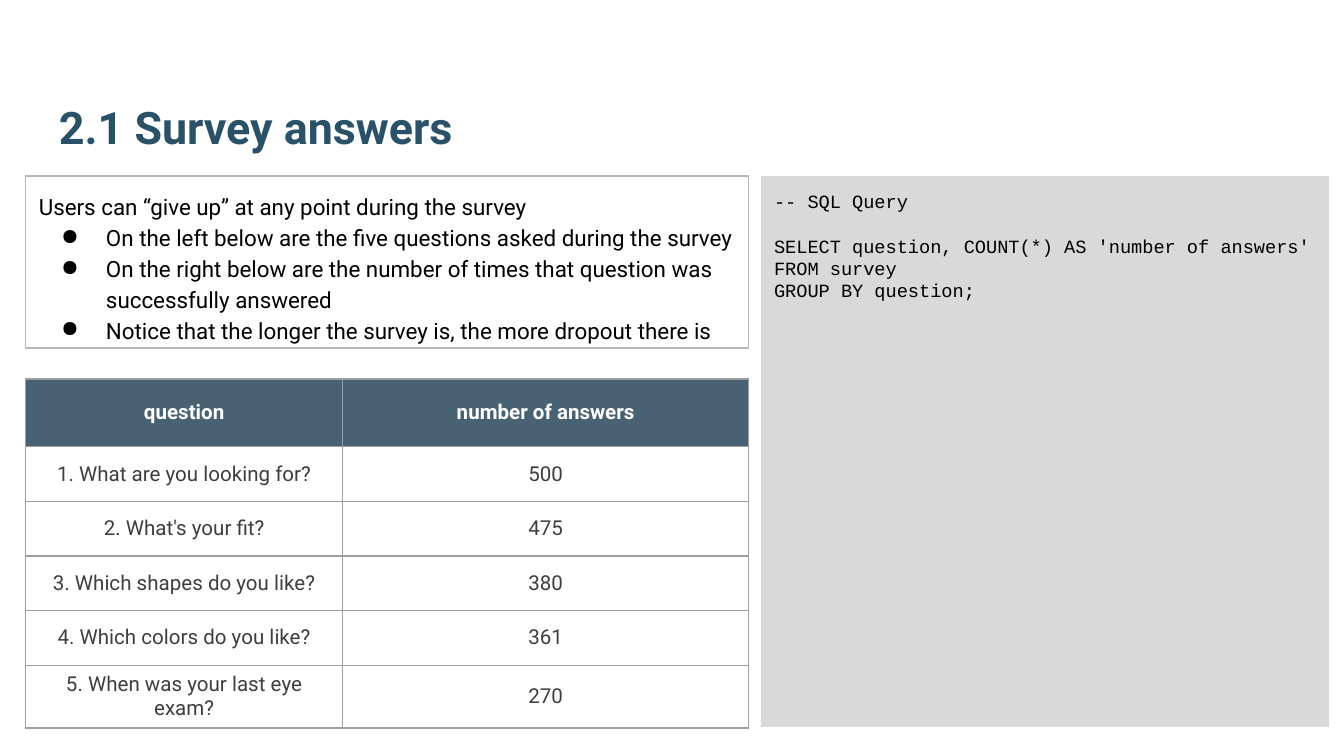
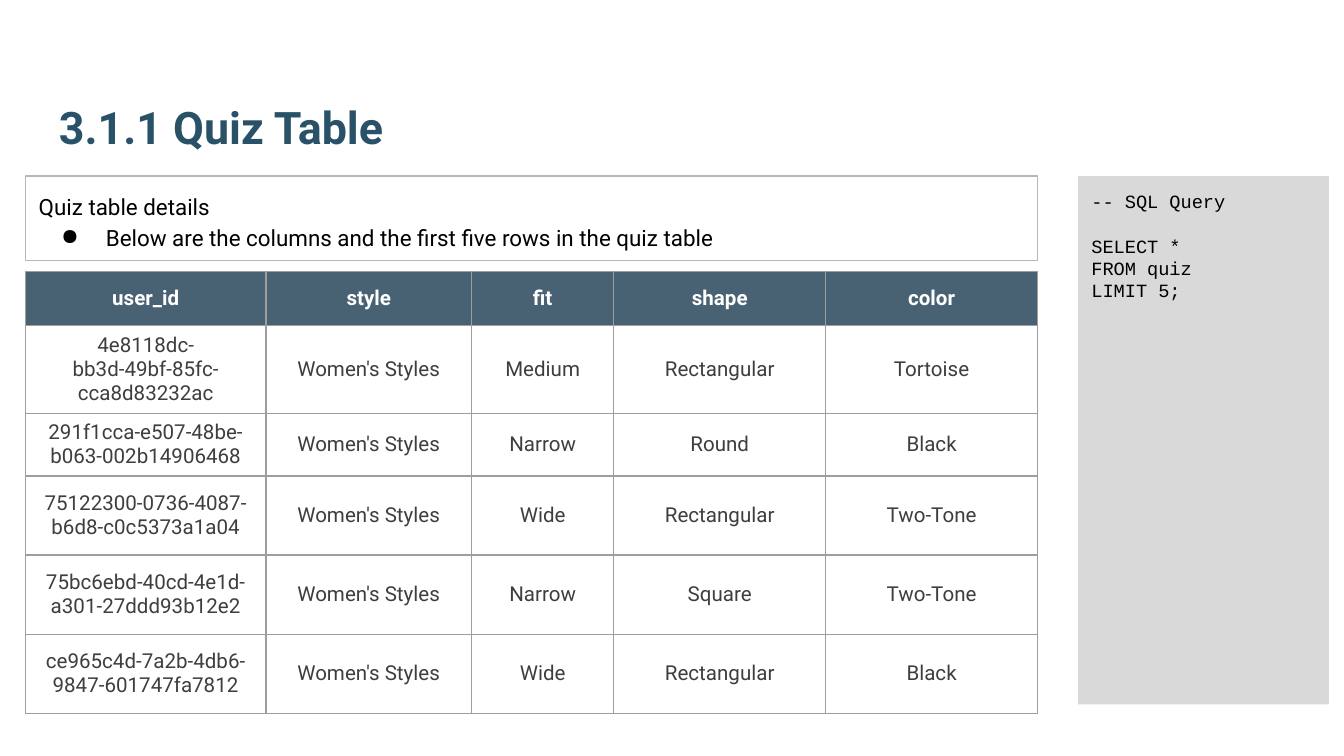
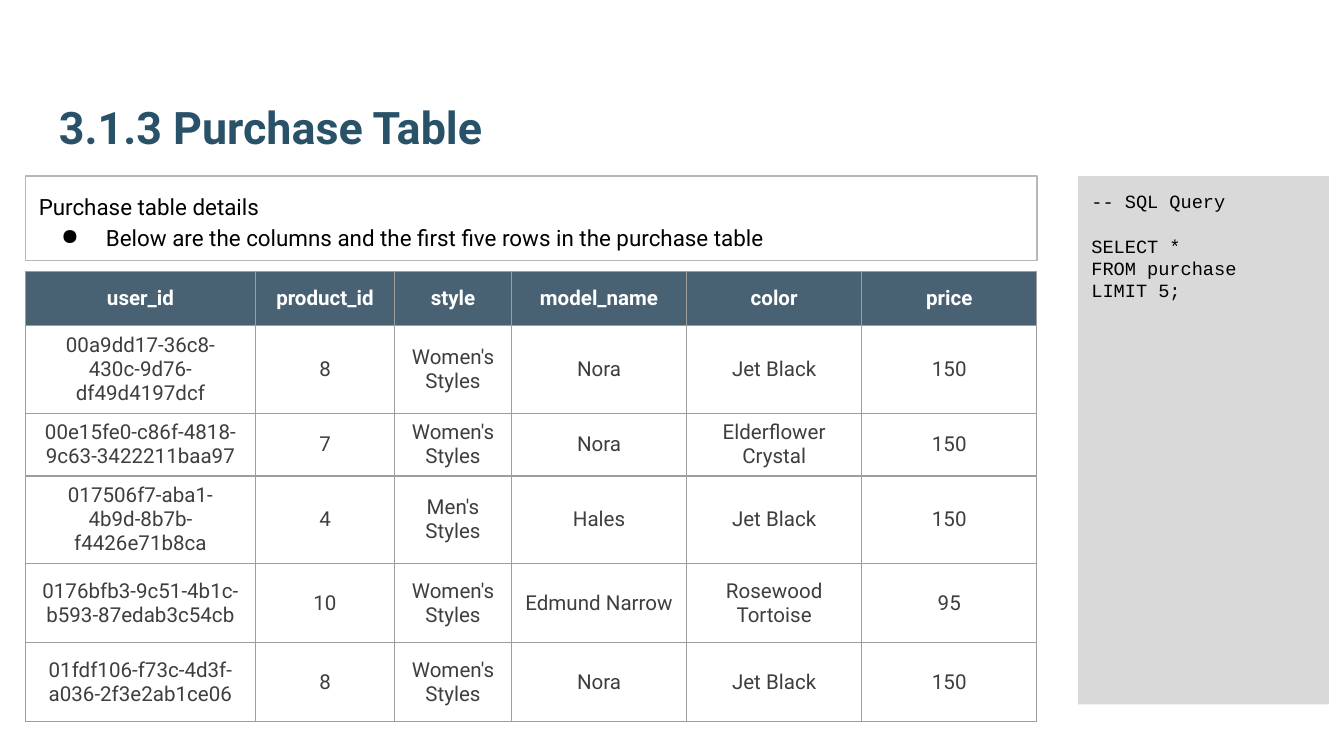
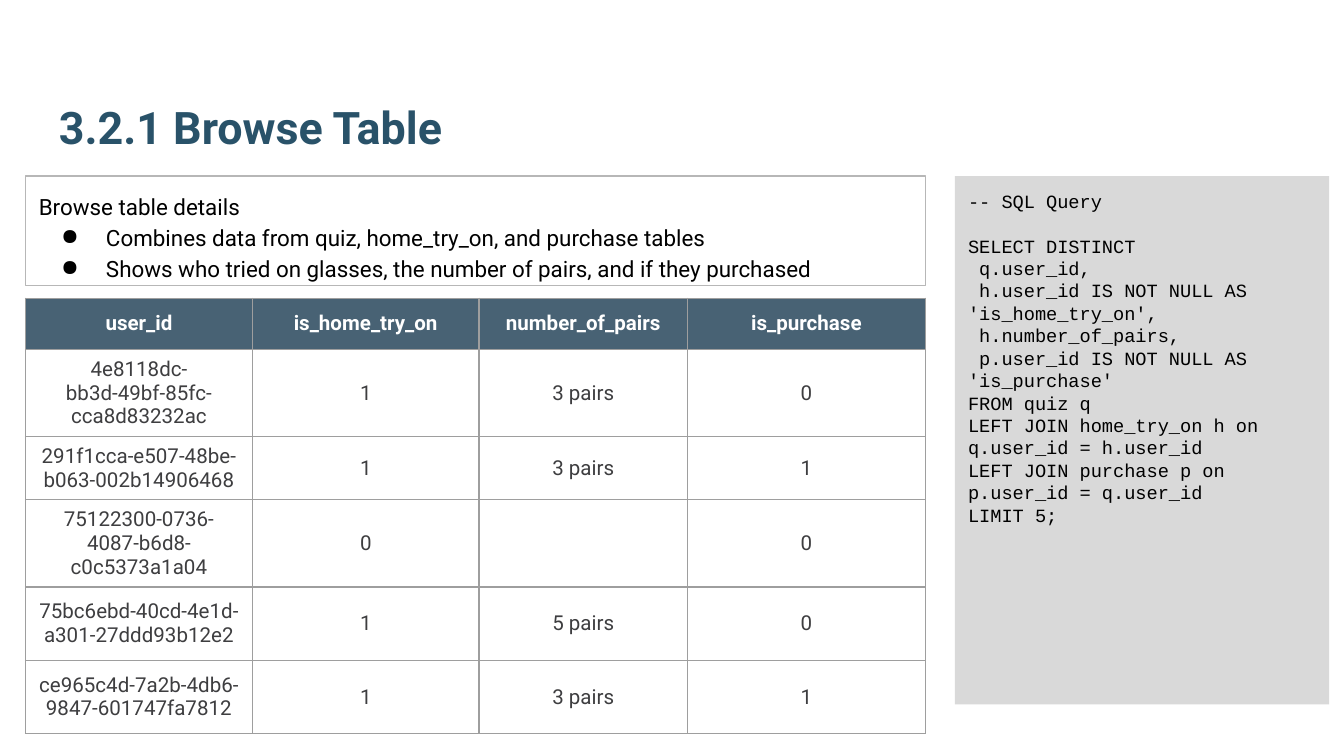
from dataclasses import dataclass
from typing import Optional

from lxml.etree import SubElement
from pptx import Presentation
from pptx.dml.color import RGBColor
from pptx.enum.shapes import MSO_SHAPE
from pptx.enum.text import MSO_ANCHOR, PP_ALIGN
from pptx.oxml.ns import qn
from pptx.shapes.autoshape import Shape
from pptx.slide import Slide
from pptx.table import _Cell
from pptx.text.text import TextFrame
from pptx.util import Pt

TITLE_BLUE = RGBColor(0x29, 0x52, 0x69)
HEADER_BLUE = RGBColor(0x20, 0x40, 0x56)
CODE_GRAY = RGBColor(0xD9, 0xD9, 0xD9)
BOX_GRAY = RGBColor(0xB7, 0xB7, 0xB7)
GRID_GRAY = RGBColor(0x9E, 0x9E, 0x9E)
CELL_TEXT = RGBColor(0x3E, 0x3E, 0x40)
BLACK = RGBColor(0, 0, 0)
WHITE = RGBColor(0xFF, 0xFF, 0xFF)

HEADER_OPACITY = 82
SANS = "Roboto"
MONO = "Courier New"
LINE_WIDTH = 0.75
BOX_INSET = 7.2
HEADER_INSET = 5.76
CODE_LINE = 12

# Lengths below are in points.
SLIDE_WIDTH, SLIDE_HEIGHT = 720, 405
PANEL_LEFT, PANEL_TOP, PANEL_RIGHT = 13.7, 94.4, 712
TITLE_BOX = (24.5, 23, 671, 66.3)


@dataclass
class QuerySlide:
    title: str
    heading: str
    bullets: list[str]
    summary_height: float
    query: list[str]
    code_left: float
    code_height: float
    table_top: float
    column_widths: list[float]
    row_heights: list[float]
    rows: list[list[str]]


QUERY_SLIDES = [
    QuerySlide(
        title="2.1 Survey answers",
        heading="Users can “give up” at any point during the survey",
        bullets=[
            "On the left below are the five questions asked during the survey",
            "On the right below are the number of times that question was "
            "successfully answered",
            "Notice that the longer the survey is, the more dropout there is",
        ],
        summary_height=92,
        query=[
            "SELECT question, COUNT(*) AS 'number of answers'",
            "FROM survey",
            "GROUP BY question;",
        ],
        code_left=407.6,
        code_height=295,
        table_top=203,
        column_widths=[170, 217.4],
        row_heights=[36.3] + [29.3] * 4 + [33],
        rows=[
            ["question", "number of answers"],
            ["1. What are you looking for?", "500"],
            ["2. What's your fit?", "475"],
            ["3. Which shapes do you like?", "380"],
            ["4. Which colors do you like?", "361"],
            ["5. When was your last eye exam?", "270"],
        ],
    ),
    QuerySlide(
        title="3.1.1 Quiz Table",
        heading="Quiz table details",
        bullets=["Below are the columns and the first five rows in the quiz table"],
        summary_height=45.3,
        query=["SELECT *", "FROM quiz", "LIMIT 5;"],
        code_left=577.6,
        code_height=283,
        table_top=145.3,
        column_widths=[128.8, 110.2, 76.2, 113.5, 113.5],
        row_heights=[29.2, 42.4, 30.2] + [42.4] * 3,
        rows=[
            ["user_id", "style", "fit", "shape", "color"],
            ["4e8118dc-bb3d-49bf-85fc-cca8d83232ac", "Women's Styles", "Medium",
             "Rectangular", "Tortoise"],
            ["291f1cca-e507-48be-b063-002b14906468", "Women's Styles", "Narrow",
             "Round", "Black"],
            ["75122300-0736-4087-b6d8-c0c5373a1a04", "Women's Styles", "Wide",
             "Rectangular", "Two-Tone"],
            ["75bc6ebd-40cd-4e1d-a301-27ddd93b12e2", "Women's Styles", "Narrow",
             "Square", "Two-Tone"],
            ["ce965c4d-7a2b-4db6-9847-601747fa7812", "Women's Styles", "Wide",
             "Rectangular", "Black"],
        ],
    ),
    QuerySlide(
        title="3.1.3 Purchase Table",
        heading="Purchase table details",
        bullets=["Below are the columns and the first five rows in the purchase table"],
        summary_height=45.3,
        query=["SELECT *", "FROM purchase", "LIMIT 5;"],
        code_left=577.6,
        code_height=283,
        table_top=145.3,
        column_widths=[123.2, 74.5, 62.7] + [93.8] * 3,
        row_heights=[29.2, 42.4, 30.2] + [42.4] * 3,
        rows=[
            ["user_id", "product_id", "style", "model_name", "color", "price"],
            ["00a9dd17-36c8-430c-9d76-df49d4197dcf", "8", "Women's Styles",
             "Nora", "Jet Black", "150"],
            ["00e15fe0-c86f-4818-9c63-3422211baa97", "7", "Women's Styles",
             "Nora", "Elderflower Crystal", "150"],
            ["017506f7-aba1-4b9d-8b7b-f4426e71b8ca", "4", "Men's Styles",
             "Hales", "Jet Black", "150"],
            ["0176bfb3-9c51-4b1c-b593-87edab3c54cb", "10", "Women's Styles",
             "Edmund Narrow", "Rosewood Tortoise", "95"],
            ["01fdf106-f73c-4d3f-a036-2f3e2ab1ce06", "8", "Women's Styles",
             "Nora", "Jet Black", "150"],
        ],
    ),
    QuerySlide(
        title="3.2.1 Browse Table",
        heading="Browse table details",
        bullets=[
            "Combines data from quiz, home_try_on, and purchase tables",
            "Shows who tried on glasses, the number of pairs, and if they purchased",
        ],
        summary_height=58.5,
        query=[
            "SELECT DISTINCT",
            " q.user_id,",
            " h.user_id IS NOT NULL AS 'is_home_try_on',",
            " h.number_of_pairs,",
            " p.user_id IS NOT NULL AS 'is_purchase'",
            "FROM quiz q",
            "LEFT JOIN home_try_on h on q.user_id = h.user_id",
            "LEFT JOIN purchase p on p.user_id = q.user_id",
            "LIMIT 5;",
        ],
        code_left=511.5,
        code_height=283,
        table_top=159.8,
        column_widths=[121.6, 121.4, 111.7, 127.5],
        row_heights=[27.3, 39.3, 31] + [39.3] * 3,
        rows=[
            ["user_id", "is_home_try_on", "number_of_pairs", "is_purchase"],
            ["4e8118dc-bb3d-49bf-85fc-cca8d83232ac", "1", "3 pairs", "0"],
            ["291f1cca-e507-48be-b063-002b14906468", "1", "3 pairs", "1"],
            ["75122300-0736-4087-b6d8-c0c5373a1a04", "0", "", "0"],
            ["75bc6ebd-40cd-4e1d-a301-27ddd93b12e2", "1", "5 pairs", "0"],
            ["ce965c4d-7a2b-4db6-9847-601747fa7812", "1", "3 pairs", "1"],
        ],
    ),
]


def write_text(text_frame: TextFrame, text: str, *, size: float, font: str = SANS,
               color: RGBColor = BLACK, bold: bool = False,
               align: PP_ALIGN = PP_ALIGN.LEFT, line_spacing: Optional[float] = None,
               space_before: float = 0, bullet: bool = False) -> None:
    """Fill the frame's empty first paragraph, or append a new one."""
    paragraph = text_frame.paragraphs[-1]
    if paragraph.runs:
        paragraph = text_frame.add_paragraph()
    paragraph.alignment = align
    if line_spacing:
        paragraph.line_spacing = line_spacing
    if space_before:
        paragraph.space_before = Pt(space_before)
    if bullet:
        properties = paragraph._p.get_or_add_pPr()
        properties.set("marL", str(Pt(36)))
        properties.set("indent", str(Pt(-24)))
        bullet_color = SubElement(properties, qn("a:buClr"))
        SubElement(bullet_color, qn("a:srgbClr"), val=str(color))
        SubElement(properties, qn("a:buChar"), char="●")
    if not text:
        paragraph.font.size = Pt(size)
        return
    run = paragraph.add_run()
    run.text = text
    run.font.size = Pt(size)
    run.font.name = font
    run.font.bold = bold
    run.font.color.rgb = color


def prepare_frame(shape: Shape, anchor: MSO_ANCHOR) -> TextFrame:
    text_frame = shape.text_frame
    text_frame.word_wrap = True
    text_frame.vertical_anchor = anchor
    text_frame.margin_left = text_frame.margin_right = Pt(BOX_INSET)
    text_frame.margin_top = text_frame.margin_bottom = Pt(BOX_INSET)
    return text_frame


def add_panel(slide: Slide, left: float, width: float, height: float, *,
              fill: Optional[RGBColor] = None,
              line: Optional[RGBColor] = None) -> TextFrame:
    shape = slide.shapes.add_shape(MSO_SHAPE.RECTANGLE, Pt(left), Pt(PANEL_TOP),
                                   Pt(width), Pt(height))
    shape.shadow.inherit = False
    if fill is None:
        shape.fill.background()
    else:
        shape.fill.solid()
        shape.fill.fore_color.rgb = fill
    if line is None:
        shape.line.fill.background()
    else:
        shape.line.color.rgb = line
        shape.line.width = Pt(LINE_WIDTH)
    return prepare_frame(shape, MSO_ANCHOR.TOP)


def add_title(slide: Slide, title: str) -> None:
    box = slide.shapes.add_textbox(*(Pt(length) for length in TITLE_BOX))
    write_text(prepare_frame(box, MSO_ANCHOR.BOTTOM), title, size=24,
               color=TITLE_BLUE, bold=True)


def add_code(slide: Slide, content: QuerySlide) -> None:
    frame = add_panel(slide, content.code_left, PANEL_RIGHT - content.code_left,
                      content.code_height, fill=CODE_GRAY)
    write_text(frame, "-- SQL Query", size=10, font=MONO)
    for index, line in enumerate(content.query):
        write_text(frame, line, size=10, font=MONO,
                   space_before=CODE_LINE if index == 0 else 0)


def add_summary(slide: Slide, content: QuerySlide) -> None:
    frame = add_panel(slide, PANEL_LEFT, sum(content.column_widths),
                      content.summary_height, line=BOX_GRAY)
    write_text(frame, content.heading, size=12, line_spacing=1.15)
    for bullet in content.bullets:
        write_text(frame, bullet, size=12, line_spacing=1.15, bullet=True)


def draw_borders(cell: _Cell) -> None:
    properties = cell._tc.get_or_add_tcPr()
    for side in ("L", "R", "T", "B"):
        border = SubElement(properties, qn(f"a:ln{side}"), w=str(Pt(LINE_WIDTH)))
        fill = SubElement(border, qn("a:solidFill"))
        SubElement(fill, qn("a:srgbClr"), val=str(GRID_GRAY))


def fill_header(cell: _Cell) -> None:
    cell.fill.solid()
    cell.fill.fore_color.rgb = HEADER_BLUE
    color = cell._tc.tcPr.find(f"{qn('a:solidFill')}/{qn('a:srgbClr')}")
    SubElement(color, qn("a:alpha"), val=str(HEADER_OPACITY * 1000))
    cell.margin_left = cell.margin_right = Pt(HEADER_INSET)
    cell.margin_top = cell.margin_bottom = Pt(HEADER_INSET)


def add_result_table(slide: Slide, content: QuerySlide) -> None:
    table = slide.shapes.add_table(
        len(content.rows), len(content.column_widths),
        Pt(PANEL_LEFT), Pt(content.table_top),
        Pt(sum(content.column_widths)), Pt(sum(content.row_heights))).table
    table.first_row = table.horz_banding = False
    for column, width in zip(table.columns, content.column_widths):
        column.width = Pt(width)
    for row, height in zip(table.rows, content.row_heights):
        row.height = Pt(height)
    for row_index, values in enumerate(content.rows):
        is_header = row_index == 0
        for column_index, value in enumerate(values):
            cell = table.cell(row_index, column_index)
            cell.vertical_anchor = MSO_ANCHOR.MIDDLE
            draw_borders(cell)
            if is_header:
                fill_header(cell)
            else:
                cell.fill.background()
            write_text(cell.text_frame, value, size=11, bold=is_header,
                       color=WHITE if is_header else CELL_TEXT,
                       align=PP_ALIGN.CENTER)


def main() -> None:
    presentation = Presentation()
    presentation.slide_width = Pt(SLIDE_WIDTH)
    presentation.slide_height = Pt(SLIDE_HEIGHT)
    blank_layout = presentation.slide_layouts[6]
    for content in QUERY_SLIDES:
        slide = presentation.slides.add_slide(blank_layout)
        add_title(slide, content.title)
        add_code(slide, content)
        add_summary(slide, content)
        add_result_table(slide, content)
    presentation.save("out.pptx")


if __name__ == "__main__":
    main()
